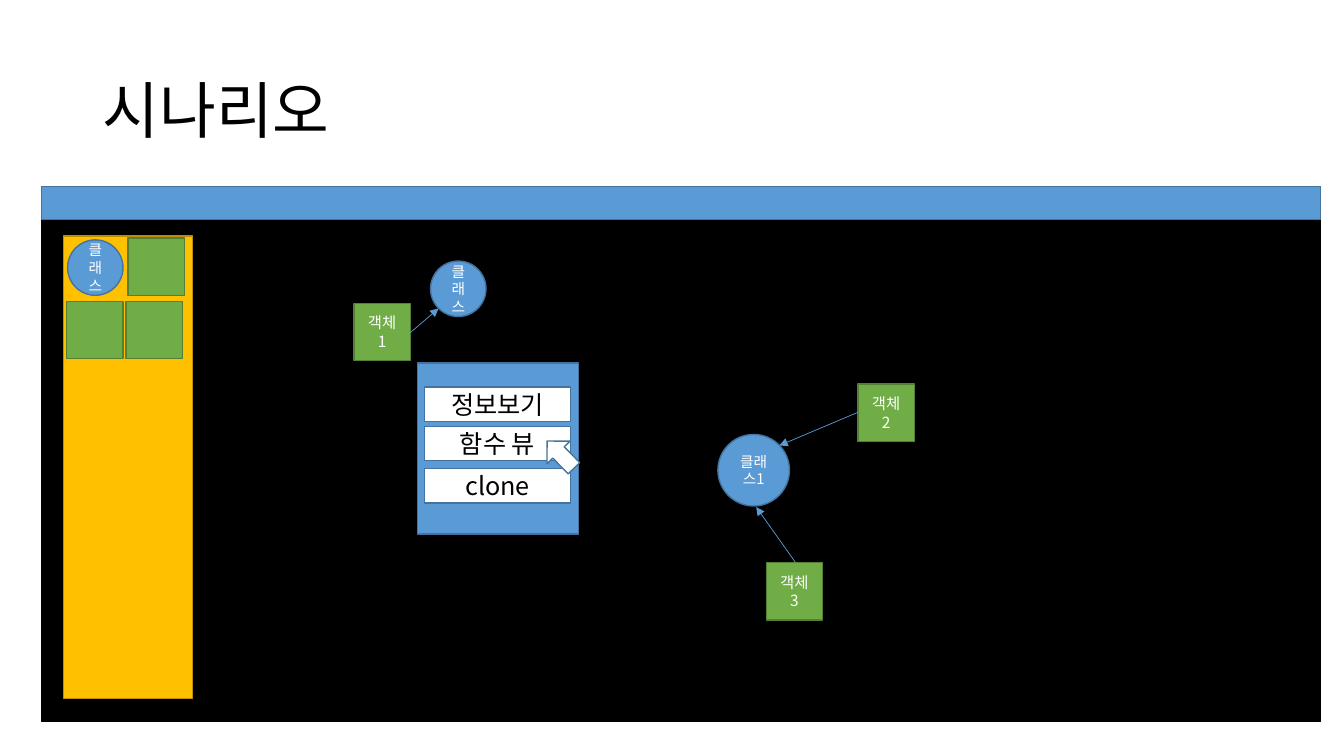
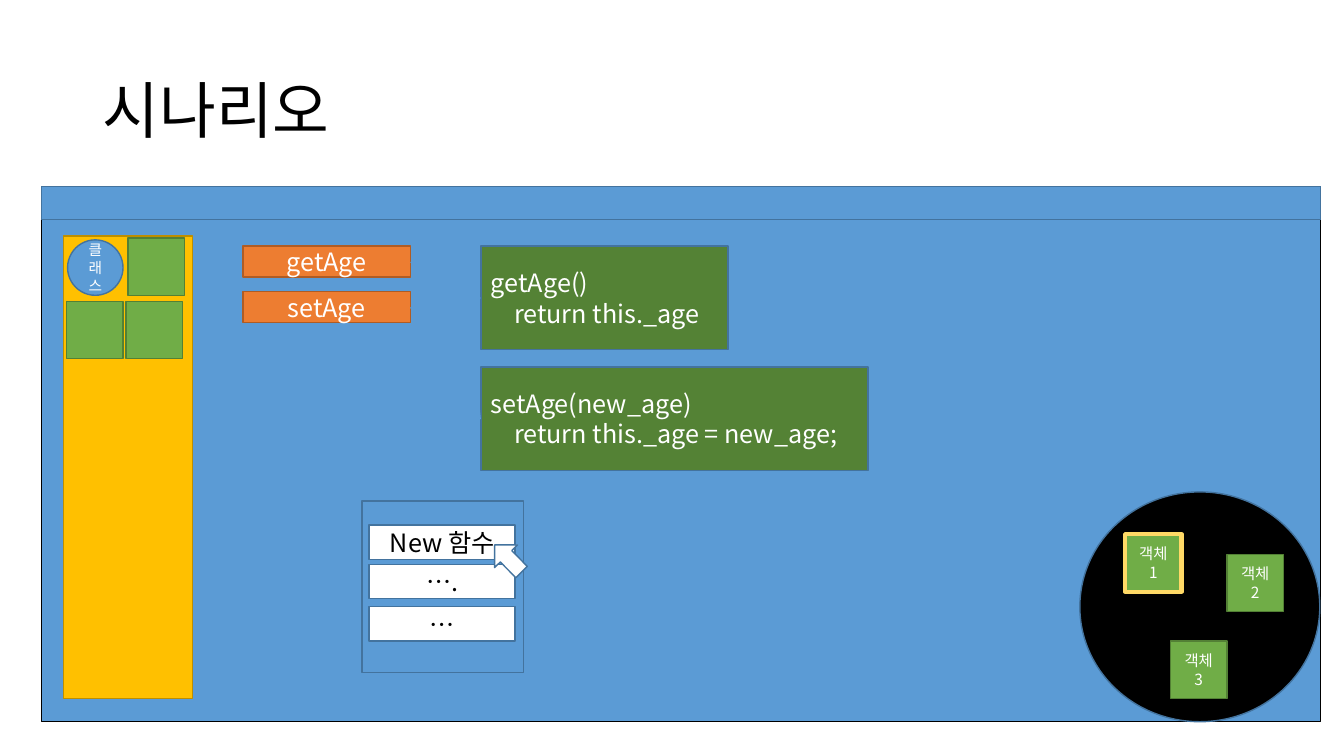
from pptx import Presentation
from pptx.dml.color import RGBColor
from pptx.enum.shapes import MSO_CONNECTOR as CONN, MSO_SHAPE as SHAPE
from pptx.enum.text import MSO_ANCHOR as ANCHOR, MSO_AUTO_SIZE as FIT, PP_ALIGN as ALIGN
from pptx.oxml.ns import qn
from pptx.util import Inches, Pt
from lxml import etree

FONT = "Noto Sans CJK KR"
COLORS = {
    "black": "000000", "white": "FFFFFF",
    "blue": "5B9BD5", "blue_edge": "43739E",
    "green": "70AD47", "green_edge": "538035", "code": "548235",
    "gold": "FFC000", "gold_edge": "BD8E00", "highlight": "FFD966",
    "orange": "ED7D31", "orange_edge": "AF5C24",
}
TILE = (0.56, 0.57)


def rgb(name):
    return RGBColor.from_string(COLORS[name])


class Deck:
    def __init__(self):
        self.prs = Presentation()
        self.prs.slide_width = Inches(13.33)
        self.prs.slide_height = Inches(7.5)
        self.s = None

    def add_text(self, p, text, size, color):
        r = p.add_run()
        r.text = text
        r.font.size = Pt(size)
        r.font.color.rgb = rgb(color)
        r.font.name = FONT
        ea = etree.SubElement(r._r.get_or_add_rPr(), qn("a:ea"))
        ea.set("typeface", FONT)

    def slide(self, title):
        self.s = self.prs.slides.add_slide(self.prs.slide_layouts[5])
        sp = self.s.shapes.title
        sp.left, sp.top, sp.width, sp.height = map(Inches, (0.92, 0.4, 11.5, 1.45))
        tf = sp.text_frame
        tf.word_wrap = True
        tf.auto_size = FIT.NONE
        tf.vertical_anchor = ANCHOR.MIDDLE
        p = tf.paragraphs[0]
        p.alignment = ALIGN.LEFT
        p.line_spacing = 0.9
        self.add_text(p, title, 44, "black")

    def shape(self, kind, x, y, w, h, fill, edge, weight=1):
        sp = self.s.shapes.add_shape(kind, *map(Inches, (x, y, w, h)))
        sp.shadow.inherit = False
        sp.fill.solid()
        sp.fill.fore_color.rgb = rgb(fill)
        sp.line.color.rgb = rgb(edge)
        sp.line.width = Pt(weight)
        return sp

    def box(self, x, y, w, h, fill, edge, weight=1):
        return self.shape(SHAPE.RECTANGLE, x, y, w, h, fill, edge, weight)

    def label(self, sp, text, size=18, color="white"):
        tf = sp.text_frame
        tf.word_wrap = True
        tf.vertical_anchor = ANCHOR.MIDDLE
        p = tf.paragraphs[0]
        p.alignment = ALIGN.CENTER
        self.add_text(p, text, size, color)

    def tile(self, x, y, text="", edge="green_edge", weight=1):
        sp = self.box(x, y, *TILE, "green", edge, weight)
        if text:
            self.label(sp, text, 11)

    def circle(self, x, y, size, text):
        sp = self.shape(SHAPE.OVAL, x, y, size, size, "blue", "blue_edge")
        self.label(sp, text, 10.5)

    def arrow(self, x1, y1, x2, y2):
        cx = self.s.shapes.add_connector(CONN.STRAIGHT, *map(Inches, (x1, y1, x2, y2)))
        cx.line.color.rgb = rgb("blue")
        cx.line.width = Pt(0.5)
        props = cx._element.spPr
        tail = etree.SubElement(props.find(qn("a:ln")), qn("a:tailEnd"))
        tail.set("type", "triangle")
        etree.SubElement(props, qn("a:effectLst"))

    def window(self, fill):
        # Canvas, top bar and palette
        self.box(0.41, 1.85, 12.69, 5.31, fill, "black")
        self.box(0.41, 1.85, 12.69, 0.33, "blue", "blue_edge")
        self.box(0.63, 2.34, 1.28, 4.59, "gold", "gold_edge")
        for x, y in ((1.27, 2.36), (0.66, 2.99), (1.25, 2.99)):
            self.tile(x, y)
        self.circle(0.67, 2.38, 0.55, "클래스")

    def menu(self, x, y, items, cursor):
        self.box(x, y, 1.6, 1.7, "blue", "blue_edge")
        for text, dy in zip(items, (0.24, 0.63, 1.05)):
            sp = self.box(x + 0.07, y + dy, 1.45, 0.34, "white", "blue_edge")
            self.label(sp, text, color="black")
        pointer = self.shape(SHAPE.RIGHT_ARROW, *cursor, 0.38, 0.32, "white", "blue_edge")
        pointer.rotation = 225.3

    def code(self, x, y, w, head, body):
        tf = self.box(x, y, w, 1.03, "code", "blue_edge").text_frame
        tf.word_wrap = True
        tf.vertical_anchor = ANCHOR.MIDDLE
        for p, text, indent in ((tf.paragraphs[0], head, 0), (tf.add_paragraph(), body, 0.23)):
            p.alignment = ALIGN.LEFT
            p._p.get_or_add_pPr().set("marL", str(Inches(indent)))
            self.add_text(p, text, 18, "white")


deck = Deck()

# Slide 1: objects linked to classes, with a context menu
deck.slide("시나리오")
deck.window("black")
for x, y, text in ((3.51, 3.01, "객체1"), (8.51, 3.81, "객체2"), (7.6, 5.58, "객체3")):
    deck.tile(x, y, text)
deck.circle(4.27, 2.59, 0.55, "클래스")
deck.circle(7.12, 4.31, 0.71, "클래스1")
for ends in ((4.07, 3.3, 4.35, 3.06), (8.51, 4.09, 7.73, 4.42), (7.89, 5.58, 7.5, 5.03)):
    deck.arrow(*ends)
deck.menu(4.14, 3.6, ("정보보기", "함수 뷰", "clone"), (5.37, 4.35))

# Slide 2: function view
deck.slide("시나리오")
deck.window("blue")

# Object overview
deck.shape(SHAPE.OVAL, 10.71, 4.88, 2.38, 2.28, "black", "blue_edge")
deck.tile(11.16, 5.3, "객체1", "highlight", 3)
deck.tile(12.17, 5.5, "객체2")
deck.tile(11.61, 6.36, "객체3")

# Functions and their code
functions = (
    ("getAge", 2.44, 2.44, 2.45, "getAge()", "return this._age"),
    ("setAge", 2.89, 3.64, 3.84, "setAge(new_age)", "return this._age = new_age;"),
)
for name, y, code_y, code_w, head, body in functions:
    deck.label(deck.box(2.41, y, 1.66, 0.31, "orange", "orange_edge"), name)
    deck.code(4.77, code_y, code_w, head, body)
    deck.arrow(4.07, y + 0.16, 4.77, code_y + 0.52)
deck.menu(3.59, 4.97, ("New 함수", "….", "…"), (4.85, 5.38))

deck.prs.save("out.pptx")
